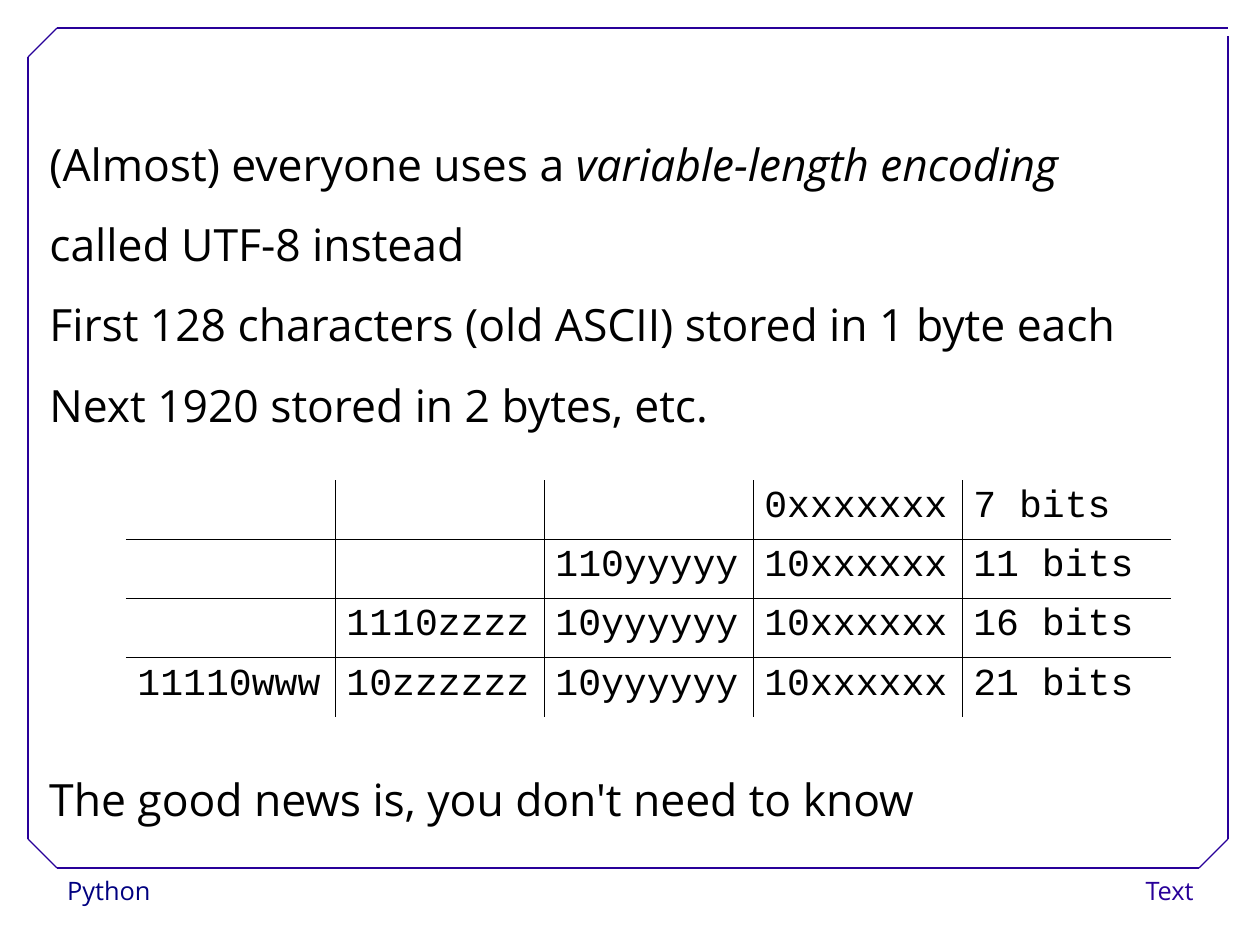
import dataclasses

import lxml.etree
import pptx
import pptx.dml.color
import pptx.enum.shapes
import pptx.enum.text
import pptx.oxml.ns
import pptx.util

EMU_PER_PX = 8000
ALIGN = pptx.enum.text.PP_ALIGN


@dataclasses.dataclass(frozen=True)
class Theme:
    """Colours, fonts and type sizes of the slide."""

    ink: str = "000000"
    paper: str = "FFFFFF"
    frame: str = "280099"
    course: str = "000080"
    prose_font: str = "Open Sans"
    code_font: str = "Courier New"
    prose_size: int = 28
    code_size: int = 24
    footer_size: int = 16
    frame_weight: float = 0.75
    rule_weight: float = 0.45


THEME = Theme()

STATEMENTS = [
    [("(Almost) everyone uses a ", False), ("variable-length encoding", True)],
    [("called UTF-8 instead", False)],
    [("First 128 characters (old ASCII) stored in 1 byte each", False)],
    [("Next 1920 stored in 2 bytes, etc.", False)],
]
CONCLUSION = [[("The good news is, you don't need to know", False)]]
ENCODINGS = [
    ["", "", "", "0xxxxxxx", "7 bits"],
    ["", "", "110yyyyy", "10xxxxxx", "11 bits"],
    ["", "1110zzzz", "10yyyyyy", "10xxxxxx", "16 bits"],
    ["11110www", "10zzzzzz", "10yyyyyy", "10xxxxxx", "21 bits"],
]


def px(*lengths):
    """Turn px lengths into a list of EMU lengths."""
    return [pptx.util.Emu(length * EMU_PER_PX) for length in lengths]


def rgb(code):
    """Turn a hex code into a colour."""
    return pptx.dml.color.RGBColor.from_string(code)


def add_xml(parent, tag, **attributes):
    """Append one drawing element to a parent element."""
    return lxml.etree.SubElement(parent, pptx.oxml.ns.qn(tag), attributes)


def write(frame, paragraphs, *, font=THEME.prose_font, size=THEME.prose_size,
          color=THEME.ink, align=ALIGN.LEFT, spacing=1.5, after=0, hang=0):
    """Fill a text frame with paragraphs made of (text, italic) runs."""
    for index, runs in enumerate(paragraphs):
        paragraph = frame.paragraphs[0] if index == 0 else frame.add_paragraph()
        properties = paragraph._p.get_or_add_pPr()
        properties.set("marL", str(hang * EMU_PER_PX))
        properties.set("indent", str(-hang * EMU_PER_PX))
        add_xml(properties, "a:buNone")
        paragraph.alignment = align
        paragraph.line_spacing = spacing
        paragraph.space_before = pptx.util.Pt(0)
        paragraph.space_after = pptx.util.Pt(after)
        for text, italic in runs:
            run = paragraph.add_run()
            run.text = text
            run.font.name = font
            run.font.size = pptx.util.Pt(size)
            run.font.italic = italic
            run.font.color.rgb = rgb(color)


def prepare_frame(frame):
    """Make a text frame wrap, start at the top and keep its size."""
    frame.word_wrap = True
    frame.auto_size = pptx.enum.text.MSO_AUTO_SIZE.NONE
    frame.vertical_anchor = pptx.enum.text.MSO_ANCHOR.TOP
    return frame


def add_footer_label(slide, box, text, color, align):
    """Place one footer label in its box."""
    label = slide.shapes.add_shape(
        pptx.enum.shapes.MSO_SHAPE.RECTANGLE, *px(*box))
    label.shadow.inherit = False
    label.fill.solid()
    label.fill.fore_color.rgb = rgb(THEME.paper)
    label.line.fill.background()
    write(prepare_frame(label.text_frame), [[(text, False)]],
          size=THEME.footer_size, color=color, align=align, spacing=1.02)


def add_border(slide, box, cut, gap):
    """Draw the border with three cut corners and an open top right one."""
    left, top, width, height = box
    right, bottom = left + width, top + height
    edges = [
        (left + cut, bottom, right - cut, bottom),
        (left, bottom - cut, left, top + cut),
        (left + cut, top, right, top),
        (right, bottom - cut, right, top + gap),
        (left, top + cut, left + cut, top),
        (right - cut, bottom, right, bottom - cut),
        (left, bottom - cut, left + cut, bottom),
    ]
    for edge in edges:
        line = slide.shapes.add_connector(
            pptx.enum.shapes.MSO_CONNECTOR.STRAIGHT, *px(*edge))
        line.line.color.rgb = rgb(THEME.frame)
        line.line.width = pptx.util.Pt(THEME.frame_weight)
        add_xml(line._element.spPr, "a:effectLst")


def add_statements(slide, box):
    """Put the statements in the body placeholder."""
    body = slide.placeholders[1]
    body.left, body.top, body.width, body.height = px(*box)
    write(prepare_frame(body.text_frame), STATEMENTS, hang=57)


def add_conclusion(slide, box):
    """Place the closing line."""
    closing = slide.shapes.add_textbox(*px(*box))
    write(prepare_frame(closing.text_frame), CONCLUSION, hang=57)


def rule_cell(cell, sides):
    """Draw the inner rules of a cell and clear its outer ones."""
    properties = cell._tc.get_or_add_tcPr()
    for side, ruled in sides.items():
        rule = add_xml(properties, f"a:ln{side}",
                       w=str(pptx.util.Pt(THEME.rule_weight)))
        if ruled:
            add_xml(add_xml(rule, "a:solidFill"), "a:srgbClr", val=THEME.ink)
        else:
            add_xml(rule, "a:noFill")
    cell.fill.background()


def add_encodings(slide, box):
    """Build the table of byte patterns with even rows and columns."""
    row_count, column_count = len(ENCODINGS), len(ENCODINGS[0])
    table = slide.shapes.add_table(row_count, column_count, *px(*box)).table
    table.first_row = False
    table.horz_banding = False
    for row, patterns in enumerate(ENCODINGS):
        for column, pattern in enumerate(patterns):
            cell = table.cell(row, column)
            rule_cell(cell, {"L": column > 0, "R": column < column_count - 1,
                             "T": row > 0, "B": row < row_count - 1})
            if pattern:
                write(cell.text_frame, [[(pattern, False)]],
                      font=THEME.code_font, size=THEME.code_size,
                      spacing=0.93, after=14.3)


def main():
    """Build the slide and save it."""
    presentation = pptx.Presentation()
    presentation.slide_width, presentation.slide_height = px(1260, 945)
    slide = presentation.slides.add_slide(presentation.slide_layouts[1])
    title = slide.shapes.title._element
    title.getparent().remove(title)
    add_footer_label(slide, (56, 869, 246, 46), "Python", THEME.course, ALIGN.LEFT)
    add_footer_label(slide, (1045, 869, 160, 46), "Text", THEME.frame, ALIGN.RIGHT)
    add_border(slide, (28, 28, 1200, 840), cut=29, gap=8)
    add_statements(slide, (38, 105, 1217, 331))
    add_encodings(slide, (126, 480, 1045, 237))
    add_conclusion(slide, (38, 740, 1013, 91))
    presentation.save("out.pptx")


if __name__ == "__main__":
    main()
